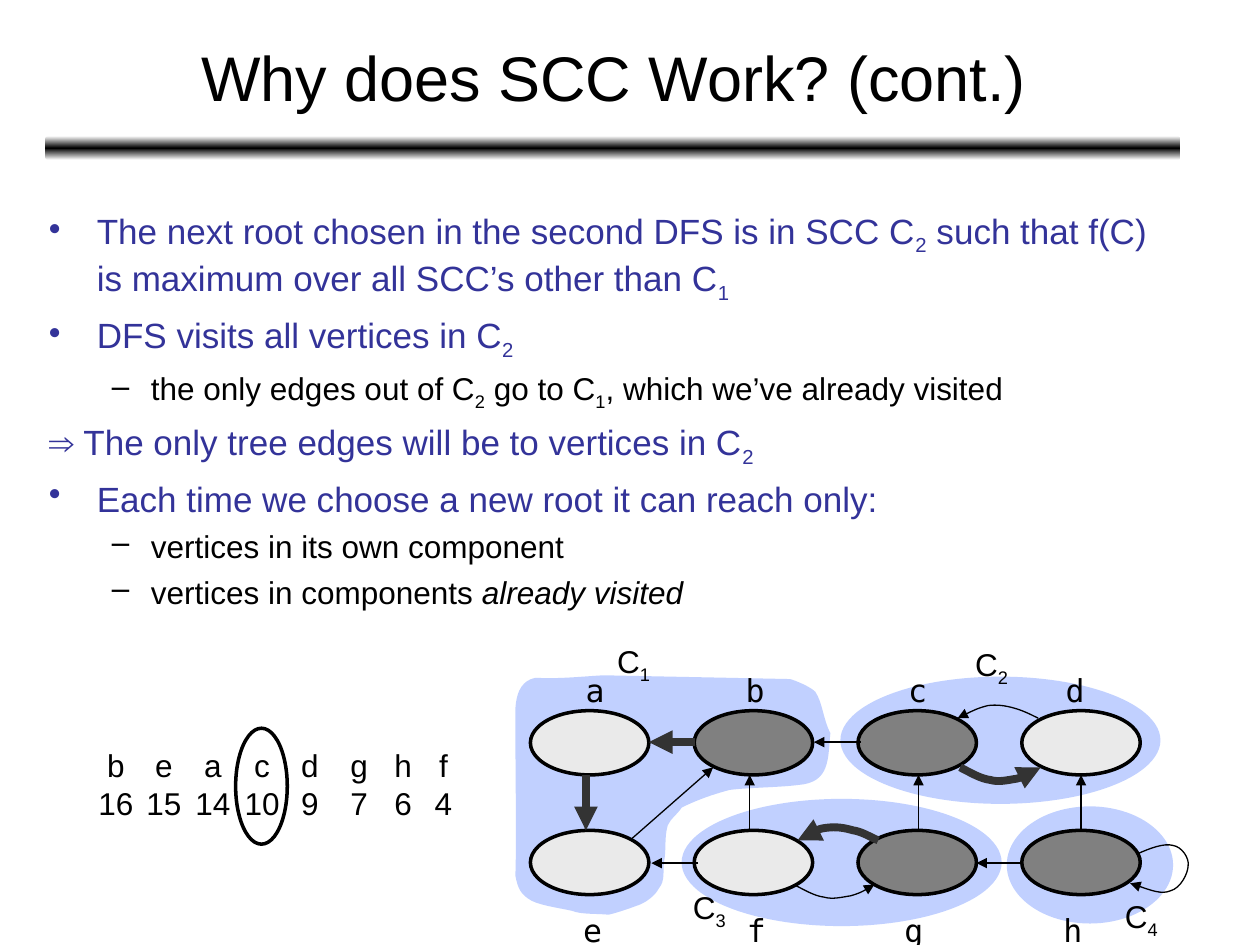
from copy import deepcopy
from itertools import product

from lxml import etree
from pptx import Presentation
from pptx.dml.color import RGBColor
from pptx.enum.shapes import MSO_CONNECTOR as Link, MSO_SHAPE as Kind
from pptx.enum.text import MSO_ANCHOR as Anchor, PP_ALIGN as Align
from pptx.oxml.ns import qn
from pptx.util import Inches, Pt

BLACK, INK, BLUE = "000000", "333333", "333399"
LIGHT, DARK, ZONE = "EAEAEA", "808080", "3366FF"
SANS, MONO = "Arial", "DejaVu Sans Mono"


def color(code):
    return RGBColor.from_string(code)


def sub(node, tag, **attrs):
    return etree.SubElement(node, qn(tag), attrs)


class Deck:
    def __init__(self, slide):
        self.shapes = slide.shapes

    def text(self, box, anchor=Anchor.TOP, wrap=True):
        frame = self.shapes.add_textbox(*map(Inches, box)).text_frame
        frame.word_wrap = wrap
        frame.vertical_anchor = anchor
        return frame

    def para(self, frame, text, size=18, font=SANS, ink=BLACK, align=None,
             bullet=None, indent=None, level=0, space=0, slant=""):
        """An underscore in the text lowers the character after it."""
        fresh = not frame.paragraphs[0].runs
        para = frame.paragraphs[0] if fresh else frame.add_paragraph()
        para.level = level
        if align is not None:
            para.alignment = align
        if not fresh:
            para.space_before = Pt(space)
        props = para._p.get_or_add_pPr()
        if indent:
            left, first = indent
            props.set("marL", str(Inches(left)))
            props.set("indent", str(Inches(first)))
        if bullet:
            sub(sub(props, "a:buClr"), "a:srgbClr", val=ink)
            sub(props, "a:buChar", char=bullet)
        para.font.size = Pt(size)
        para.font.name = font
        para.font.color.rgb = color(ink)
        head, *rest = text.split("_")
        para.add_run().text = head
        for part in rest:
            low = para.add_run()
            low.text = part[0]
            low._r.get_or_add_rPr().set("baseline", "-25000")
            if part[1:]:
                para.add_run().text = part[1:]
        if slant:
            run = para.add_run()
            run.text = slant
            run.font.italic = True

    def label(self, left, top, text, font=SANS, width=0.46):
        self.para(self.text((left, top, width, 0.4), wrap=False), text, font=font)

    def paint(self, shape, fill=None, line=None, width=2, alpha=None):
        shape.shadow.inherit = False
        if fill:
            shape.fill.solid()
            shape.fill.fore_color.rgb = color(fill)
            if alpha:
                tint = shape._element.spPr.find(".//" + qn("a:srgbClr"))
                sub(tint, "a:alpha", val=str(alpha * 1000))
        else:
            shape.fill.background()
        if line:
            shape.line.color.rgb = color(line)
            shape.line.width = Pt(width)
        else:
            shape.line.fill.background()

    def oval(self, box, **style):
        self.paint(self.shapes.add_shape(Kind.OVAL, *map(Inches, box)), **style)

    def bar(self, box, stops):
        shape = self.shapes.add_shape(Kind.ROUNDED_RECTANGLE, *map(Inches, box))
        self.paint(shape)
        shape.fill.gradient()
        shape.fill.gradient_angle = 90
        group = shape._element.spPr.find(".//" + qn("a:gsLst"))
        group.append(deepcopy(group[0]))
        for stop, (place, code) in zip(shape.fill.gradient_stops, stops):
            stop.position = place
            stop.color.rgb = color(code)

    def tip(self, line):
        sub(line.line._get_or_add_ln(), "a:tailEnd", type="triangle")

    def arrow(self, start, end, ink=BLACK, width=0.75):
        line = self.shapes.add_connector(Link.STRAIGHT, *map(Inches, start + end))
        line.line.color.rgb = color(ink)
        line.line.width = Pt(width)
        sub(line._element.spPr, "a:effectLst")
        self.tip(line)

    def curve(self, points, close=False, **style):
        """A start point, then three points for each Bezier piece."""
        first, *rest = [(Inches(x), Inches(y)) for x, y in points]
        pen = self.shapes.build_freeform(*first)
        pen.add_line_segments(rest, close=close)
        shape = pen.convert_to_shape()
        steps = list(shape._element.spPr.iter(qn("a:lnTo")))
        for at in range(0, len(rest), 3):
            trio = steps[at:at + 3]
            bend = etree.Element(qn("a:cubicBezTo"))
            trio[0].addprevious(bend)
            for step in trio:
                bend.append(step[0])
                step.getparent().remove(step)
        self.paint(shape, **style)
        return shape

    def bow(self, points, ink=BLACK, width=0.75):
        self.tip(self.curve(points, line=ink, width=width))


def main():
    show = Presentation()
    show.slide_width, show.slide_height = Inches(10), Inches(7.5)
    deck = Deck(show.slides.add_slide(show.slide_layouts[6]))

    # Title and rule
    deck.bar((0.36, 1.08, 9.01, 0.19), [(0, "FFFFFF"), (0.5, BLACK), (1, "FFFFFF")])
    deck.para(deck.text((0.37, 0.11, 9, 0.99), Anchor.MIDDLE),
              "Why does SCC Work? (cont.)", size=36, align=Align.CENTER)

    # Body
    body = deck.text((0.29, 1.61, 9, 3.9))
    plain = dict(size=20, ink=BLUE, indent=(0.38, -0.38), space=5)
    main_pt = dict(plain, bullet="•")
    dash = dict(bullet="–", indent=(0.81, -0.31), level=1, space=4.5)
    for text, style in [
        ("The next root chosen in the second DFS is in SCC C_2 such that f(C) "
         "is maximum over all SCC’s other than C_1", main_pt),
        ("DFS visits all vertices in C_2", main_pt),
        ("the only edges out of C_2 go to C_1, which we’ve already visited", dash),
        ("⇒ The only tree edges will be to vertices in C_2", plain),
        ("Each time we choose a new root it can reach only:", main_pt),
        ("vertices in its own component", dash),
        ("vertices in components ", dict(dash, slant="already visited")),
    ]:
        deck.para(body, text, **style)

    # Component zones
    zone = dict(fill=ZONE, alpha=30)
    deck.curve([
        (4.25, 5.38), (4.44, 5.39), (4.61, 5.37), (4.79, 5.36),
        (5.28, 5.37), (5.78, 5.38), (6.27, 5.39),
        (6.31, 5.4), (6.43, 5.45), (6.47, 5.49),
        (6.53, 5.58), (6.53, 5.7), (6.59, 5.82),
        (6.57, 6.02), (6.59, 6.21), (6.34, 6.23),
        (6.2, 6.25), (5.95, 6.25), (5.79, 6.27),
        (5.68, 6.3), (5.55, 6.34), (5.41, 6.41),
        (5.38, 6.46), (5.32, 6.5), (5.3, 6.55),
        (5.27, 6.65), (5.29, 6.74), (5.27, 6.84),
        (5.26, 6.92), (5.28, 6.99), (5.23, 7.05),
        (5.2, 7.11), (5.12, 7.17), (5.05, 7.19),
        (5, 7.21), (4.88, 7.25), (4.83, 7.26),
        (4.73, 7.25), (4.62, 7.26), (4.54, 7.23),
        (4.46, 7.21), (4.3, 7.19), (4.22, 7.15),
        (4.13, 7.1), (4.11, 7.05), (4.09, 6.95),
        (4.1, 6.7), (4.09, 6.1), (4.09, 5.78),
        (4.1, 5.73), (4.04, 5.42), (4.25, 5.38),
    ], close=True, **zone)
    for box in [(7.99, 6.4, 1.32, 0.93), (6.67, 5.37, 2.54, 1.01),
                (5.41, 6.34, 2.54, 1.01)]:
        deck.oval(box, **zone)
    for name, left, top in [("C_1", 4.8, 5.05), ("C_2", 7.64, 5.07),
                            ("C_3", 5.4, 7), ("C_4", 8.83, 7.07)]:
        deck.label(left, top, name)

    # Vertices
    tones = [LIGHT, DARK, DARK, LIGHT, LIGHT, LIGHT, DARK, DARK]
    for (row, col), tone in zip(product(range(2), range(4)), tones):
        deck.oval((4.21 + 1.3 * col, 5.64 + 0.95 * row, 0.94, 0.51),
                  fill=tone, line=BLACK)
    for top, names, lefts in [(5.28, "abcd", (4.55, 5.82, 7.11, 8.36)),
                              (7.18, "efgh", (4.53, 5.83, 7.08, 8.34))]:
        for name, left in zip(names, lefts):
            deck.label(left, top, name, MONO, 0.35)

    # Straight edges, tree edges heavy
    tree = dict(ink=INK, width=4.5)
    deck.arrow((5.52, 5.89), (5.15, 5.89), **tree)
    deck.arrow((4.65, 6.15), (4.65, 6.59), **tree)
    for x, y in [(6.46, 5.89), (5.17, 6.85), (7.75, 6.85)]:
        deck.arrow((x + 0.37, y), (x, y))
    for x in (5.95, 7.29, 8.58):
        deck.arrow((x, 6.59), (x, 6.15))
    deck.arrow((5.01, 6.66), (5.66, 6.09))

    # Curved edges
    deck.bow([(6.97, 6.67), (6.9, 6.64), (6.84, 6.6), (6.77, 6.59),
              (6.7, 6.57), (6.64, 6.56), (6.56, 6.57),
              (6.49, 6.58), (6.41, 6.63), (6.33, 6.67)], **tree)
    deck.bow([(8.24, 5.7), (8.18, 5.67), (8.12, 5.64), (8.05, 5.62),
              (7.98, 5.6), (7.91, 5.59), (7.84, 5.6),
              (7.76, 5.62), (7.68, 5.66), (7.6, 5.7)])
    dip = [(0, 0), (0.08, 0.04), (0.16, 0.09), (0.24, 0.1),
           (0.31, 0.12), (0.38, 0.1), (0.45, 0.09),
           (0.52, 0.07), (0.58, 0.04), (0.64, 0)]
    deck.bow([(7.62 + x, 6.09 + y) for x, y in dip], **tree)
    deck.bow([(6.3 + x, 7.02 + y) for x, y in dip])
    deck.bow([(9.02, 6.78), (9.13, 6.73), (9.24, 6.69), (9.31, 6.71),
              (9.38, 6.72), (9.44, 6.81), (9.43, 6.87),
              (9.43, 6.93), (9.37, 7.05), (9.29, 7.07),
              (9.22, 7.1), (9.09, 7.05), (8.97, 7.01)])

    # Finish times, next root ringed
    times = [16, 15, 14, 10, 9, 7, 6, 4]
    mids = [0.92, 1.3, 1.69, 2.08, 2.46, 2.85, 3.2, 3.52]
    for name, time, mid in zip("beacdghf", times, mids):
        frame = deck.text((mid - 0.24, 5.87, 0.48, 0.7))
        for text in (name, str(time)):
            deck.para(frame, text, align=Align.CENTER)
    deck.oval((1.87, 5.78, 0.41, 0.92), line=BLACK)

    show.save("out.pptx")


if __name__ == "__main__":
    main()
